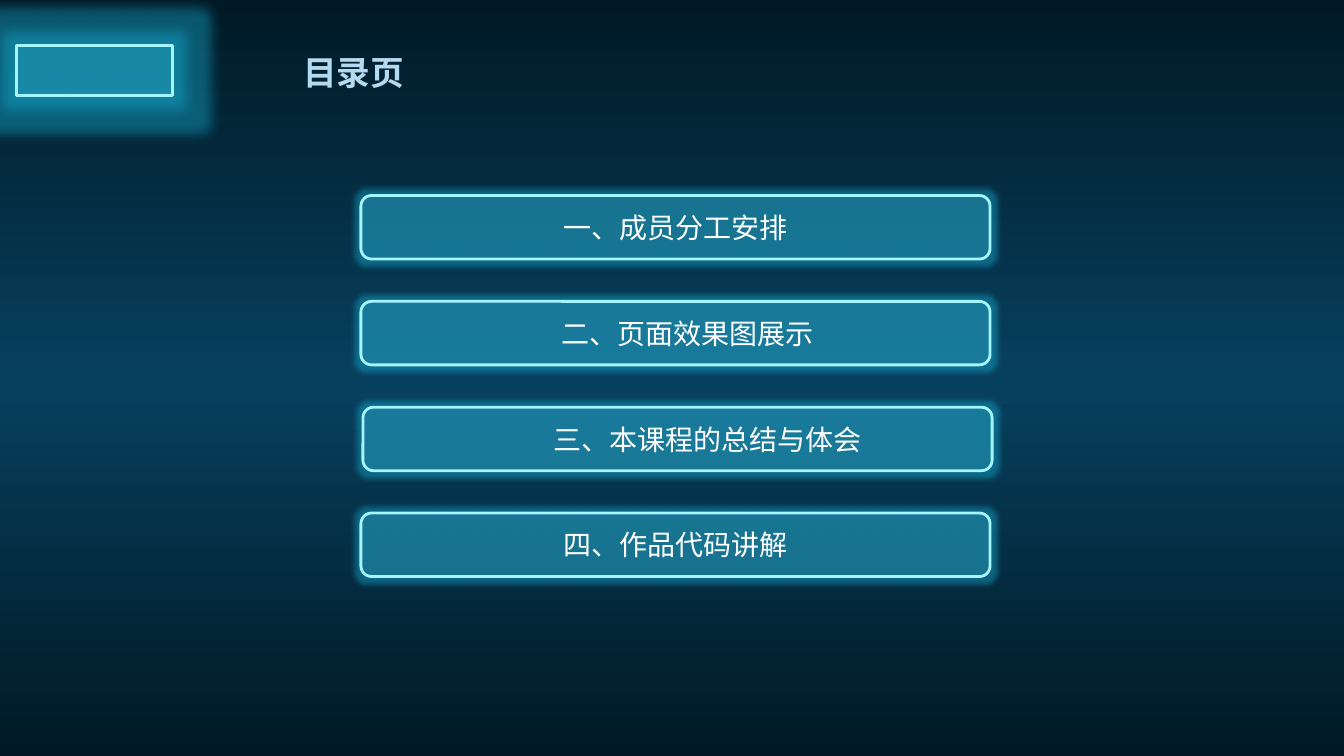
import pptx
import pptx.util
import pptx.dml.color
import pptx.enum.shapes
import pptx.enum.text
import pptx.oxml
import pptx.oxml.ns

RGBColor = pptx.dml.color.RGBColor
Inches = pptx.util.Inches
Shapes = pptx.enum.shapes.MSO_SHAPE
Align = pptx.enum.text.PP_ALIGN

NIGHT = RGBColor(0x01, 0x19, 0x25)
DEEP_BLUE = RGBColor(0x07, 0x40, 0x5E)
PANEL = RGBColor(0x45, 0xB1, 0xD2)
EDGE = RGBColor(0xA5, 0xF5, 0xFF)
GLOW = RGBColor(0x18, 0xB6, 0xDB)
TITLE_BLUE = RGBColor(0xB4, 0xDA, 0xF1)
WHITE = RGBColor(0xFF, 0xFF, 0xFF)
FONT = "Noto Sans CJK SC"

PAGE_WIDTH, PAGE_HEIGHT = 13.33, 7.5
ITEM_LEFT, ITEM_TOP = 3.58, 1.94
ITEM_WIDTH, ITEM_HEIGHT = 6.24, 0.63
ITEM_PITCH = 1.05

# Wording, shift of the box, extra left inset of its text
ITEMS = [
    ("一、成员分工安排", 0, 0),
    ("二、页面效果图展示", 0, 0.24),
    ("三、本课程的总结与体会", 0.02, 0.6),
    ("四、作品代码讲解", 0, 0),
]


def make_element(xml):
    """Parse an element, declaring its namespace after the tag name."""
    return pptx.oxml.parse_xml(xml.replace(" ", f" {pptx.oxml.ns.nsdecls('a')} ", 1))


def color_xml(color, opacity=100):
    return f'<a:srgbClr val="{color}"><a:alpha val="{opacity * 1000}"/></a:srgbClr>'


def add_backdrop(page):
    """Fill the page with a vertical dark-blue-dark gradient."""
    backdrop = page.shapes.add_shape(
        Shapes.RECTANGLE, 0, 0, Inches(PAGE_WIDTH), Inches(PAGE_HEIGHT))
    backdrop.shadow.inherit = False
    backdrop.line.fill.background()
    backdrop.fill.gradient()
    backdrop.fill.gradient_angle = 270
    stops = backdrop._element.spPr.find(".//" + pptx.oxml.ns.qn("a:gsLst"))
    for stop in list(stops):
        stops.remove(stop)
    for position, color in ((0, NIGHT), (50, DEEP_BLUE), (100, NIGHT)):
        stops.append(make_element(
            f'<a:gs pos="{position * 1000}">{color_xml(color)}</a:gs>'))


def add_glowing_box(page, kind, left, top, width, height, radius):
    """Add a translucent box with a bright edge and a glow."""
    box = page.shapes.add_shape(
        kind, Inches(left), Inches(top), Inches(width), Inches(height))
    box.fill.solid()
    box.fill.fore_color.rgb = PANEL
    properties = box._element.spPr
    tint = properties.find(".//" + pptx.oxml.ns.qn("a:srgbClr"))
    tint.append(make_element('<a:alpha val="20000"/>'))
    box.line.color.rgb = EDGE
    box.line.width = pptx.util.Pt(2)
    box.shadow.inherit = False
    effects = properties.find(pptx.oxml.ns.qn("a:effectLst"))
    effects.append(make_element(
        f'<a:glow rad="{int(pptx.util.Pt(radius))}">{color_xml(GLOW, 40)}</a:glow>'))
    return box


def write_text(box, text, *, size, color, bold=False, align=Align.LEFT,
               anchor=pptx.enum.text.MSO_ANCHOR.TOP, inset=0, wrap=True):
    frame = box.text_frame
    frame.word_wrap = wrap
    frame.vertical_anchor = anchor
    frame.margin_left = Inches(0.1 + inset)
    para = frame.paragraphs[0]
    para.alignment = align
    span = para.add_run()
    span.text = text
    span.font.size = pptx.util.Pt(size)
    span.font.bold = bold
    span.font.color.rgb = color
    span.font.name = FONT
    span.font._element.find(pptx.oxml.ns.qn("a:latin")).addnext(
        make_element(f'<a:ea typeface="{FONT}"/>'))


def main():
    deck = pptx.Presentation()
    deck.slide_width = Inches(PAGE_WIDTH)
    deck.slide_height = Inches(PAGE_HEIGHT)
    page = deck.slides.add_slide(deck.slide_layouts[6])

    # Background and corner badge
    add_backdrop(page)
    add_glowing_box(page, Shapes.RECTANGLE, 0.16, 0.45, 1.55, 0.5, radius=18)

    # Contents list
    for row, (text, shift, inset) in enumerate(ITEMS):
        item = add_glowing_box(
            page, Shapes.ROUNDED_RECTANGLE, ITEM_LEFT + shift,
            ITEM_TOP + row * ITEM_PITCH, ITEM_WIDTH, ITEM_HEIGHT, radius=8)
        write_text(item, text, size=20, color=WHITE, align=Align.CENTER,
                   anchor=pptx.enum.text.MSO_ANCHOR.MIDDLE, inset=inset)

    # Heading
    heading = page.shapes.add_textbox(
        Inches(2.91), Inches(0.47), Inches(1.21), Inches(0.5))
    write_text(heading, "目录页", size=24, color=TITLE_BLUE, bold=True, wrap=False)

    deck.save("out.pptx")


if __name__ == "__main__":
    main()
